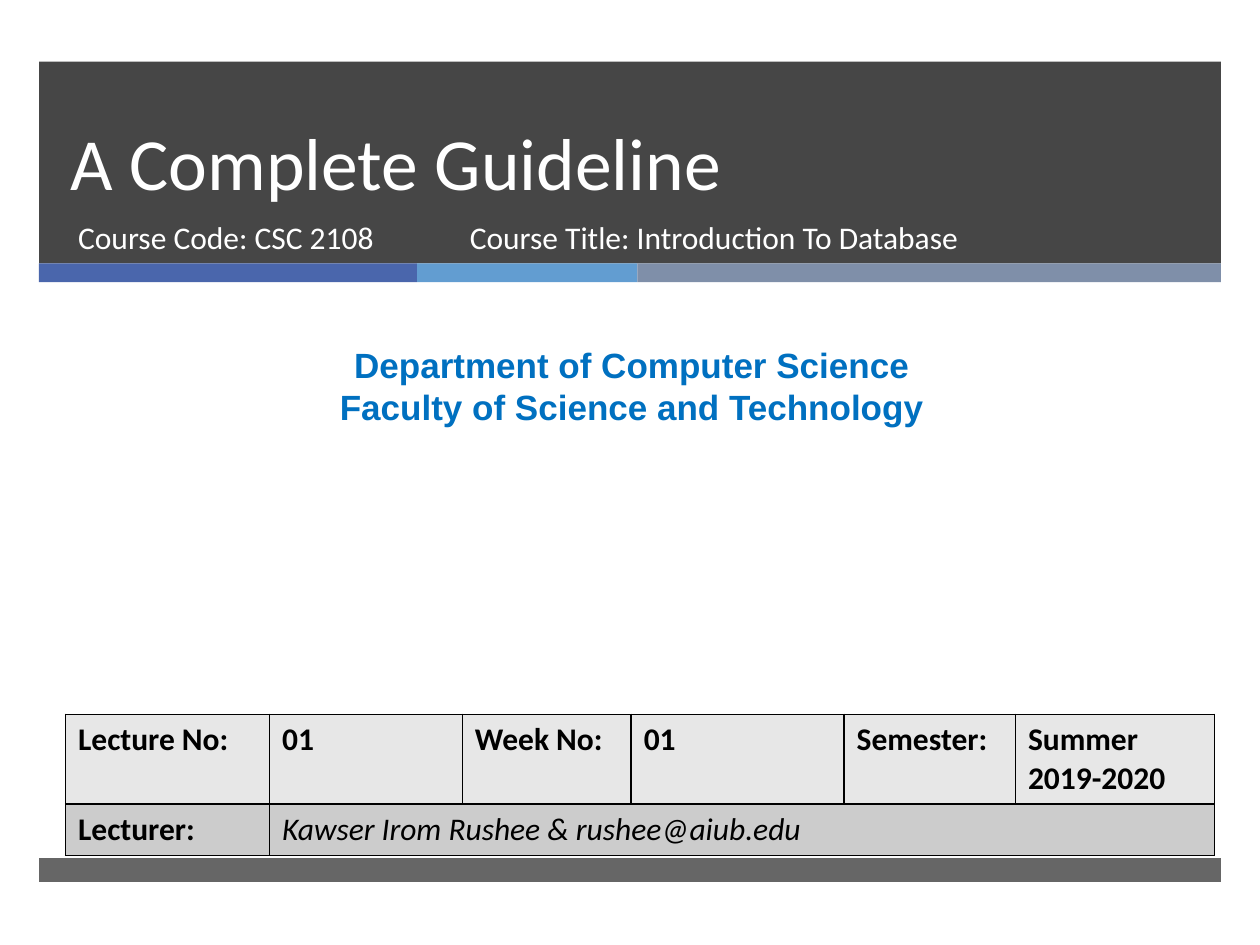
from lxml import etree
from pptx import Presentation
from pptx.dml.color import RGBColor
from pptx.enum import shapes, text
from pptx.oxml.ns import qn
from pptx.util import Inches, Pt

WHITE, BLACK, DARK = "FFFFFF", "000000", "262626"
TITLE = "A Complete Guideline"
CODE = "Course Code: CSC 2108"
COURSE = "Course Title: Introduction To Database"
DEPARTMENT = ["Department of Computer Science", "Faculty of Science and Technology"]
LECTURE = ["Lecture No:", "01", "Week No:", "01", "Semester:", "Summer 2019-2020"]
LECTURER = ["Lecturer:", "Kawser Irom Rushee & rushee@aiub.edu"]
COLUMNS = [1.62, 1.53, 1.34, 1.69, 1.36, 1.58]
ROWS = [0.7, 0.41]
LEFT, WIDTH = 0.31, 9.38
STRIPES = [(3, "4A66AC"), (1.75, "629DD1"), (4.63, "7F8FA9")]


def rgb(value):
    return RGBColor.from_string(value)


def place(sp, left, top, width, height):
    sp.left, sp.top, sp.width, sp.height = map(Inches, (left, top, width, height))


def write(tf, lines, size=18, color=WHITE, font="Calibri", bold=False, italic=False,
          align=text.PP_ALIGN.LEFT, anchor=text.MSO_ANCHOR.TOP, spacing=None):
    tf.word_wrap = True
    tf.auto_size = text.MSO_AUTO_SIZE.NONE
    tf.vertical_anchor = anchor
    for i, line in enumerate(lines):
        p = tf.add_paragraph() if i else tf.paragraphs[0]
        p.alignment, p.space_before, p.line_spacing = align, Pt(0), spacing
        r = p.add_run()
        r.text = line
        f = r.font
        f.size, f.name, f.bold, f.italic = Pt(size), font, bold, italic
        f.color.rgb = rgb(color)


def add_bar(s, left, top, width, height, color, opacity=100):
    sp = s.shapes.add_shape(shapes.MSO_SHAPE.RECTANGLE, *map(Inches, (left, top, width, height)))
    sp.shadow.inherit = False
    sp.fill.solid()
    sp.fill.fore_color.rgb = rgb(color)
    sp.line.fill.background()
    if opacity < 100:
        fill = sp.element.spPr.find(qn("a:solidFill"))
        etree.SubElement(fill[0], qn("a:alpha"), val=str(opacity * 1000))


def style_cell(cell, fill):
    tcPr = cell._tc.get_or_add_tcPr()
    for side in ("a:lnL", "a:lnR", "a:lnT", "a:lnB"):
        ln = etree.SubElement(tcPr, qn(side), w=str(Pt(1)))
        etree.SubElement(etree.SubElement(ln, qn("a:solidFill")), qn("a:srgbClr"), val=BLACK)
    cell.fill.solid()
    cell.fill.fore_color.rgb = rgb(fill)


def add_lecture_table(s):
    frame = s.shapes.add_table(len(ROWS), len(COLUMNS), Inches(0.52), Inches(5.67),
                               Inches(sum(COLUMNS)), Inches(sum(ROWS)))
    table = frame.table
    for column, width in zip(table.columns, COLUMNS):
        column.width = Inches(width)
    for row, height, fill in zip(table.rows, ROWS, ("E7E7E7", "CCCCCC")):
        row.height = Inches(height)
        for cell in row.cells:
            style_cell(cell, fill)
    table.cell(1, 1).merge(table.cell(1, len(COLUMNS) - 1))
    for i, values in enumerate((LECTURE, LECTURER)):
        for j, value in enumerate(values):
            name = (i, j) == (1, 1)
            write(table.cell(i, j).text_frame, [value], color=BLACK, bold=not name, italic=name)


def add_text(s, lines, box, **fmt):
    sp = s.shapes.add_textbox(*map(Inches, box))
    write(sp.text_frame, lines, **fmt)


def main():
    prs = Presentation()
    prs.slide_width, prs.slide_height = Inches(10), Inches(7.5)
    s = prs.slides.add_slide(prs.slide_layouts[0])
    title, code = s.placeholders

    add_bar(s, LEFT, 0.49, WIDTH, 1.6, DARK, 85)
    left = LEFT
    for width, color in STRIPES:
        add_bar(s, left, 2.09, width, 0.15, color)
        left += width
    add_bar(s, LEFT, 6.81, WIDTH, 0.19, DARK, 70)

    for holder in (title, code):
        s.shapes.element.append(holder.element)
    place(title, 0.46, 0.49, 8.54, 1.19)
    write(title.text_frame, [TITLE], size=42, anchor=text.MSO_ANCHOR.BOTTOM, spacing=Pt(46))
    place(code, 0.52, 1.68, 3.05, 0.53)
    write(code.text_frame, [CODE])

    add_text(s, DEPARTMENT, (0.08, 2.68, 9.87, 0.77), size=20, color="0070C0",
             font="Arial", bold=True, align=text.PP_ALIGN.CENTER)
    add_lecture_table(s)
    add_text(s, [COURSE], (3.63, 1.68, 4.55, 0.53))
    prs.save("out.pptx")


if __name__ == "__main__":
    main()
